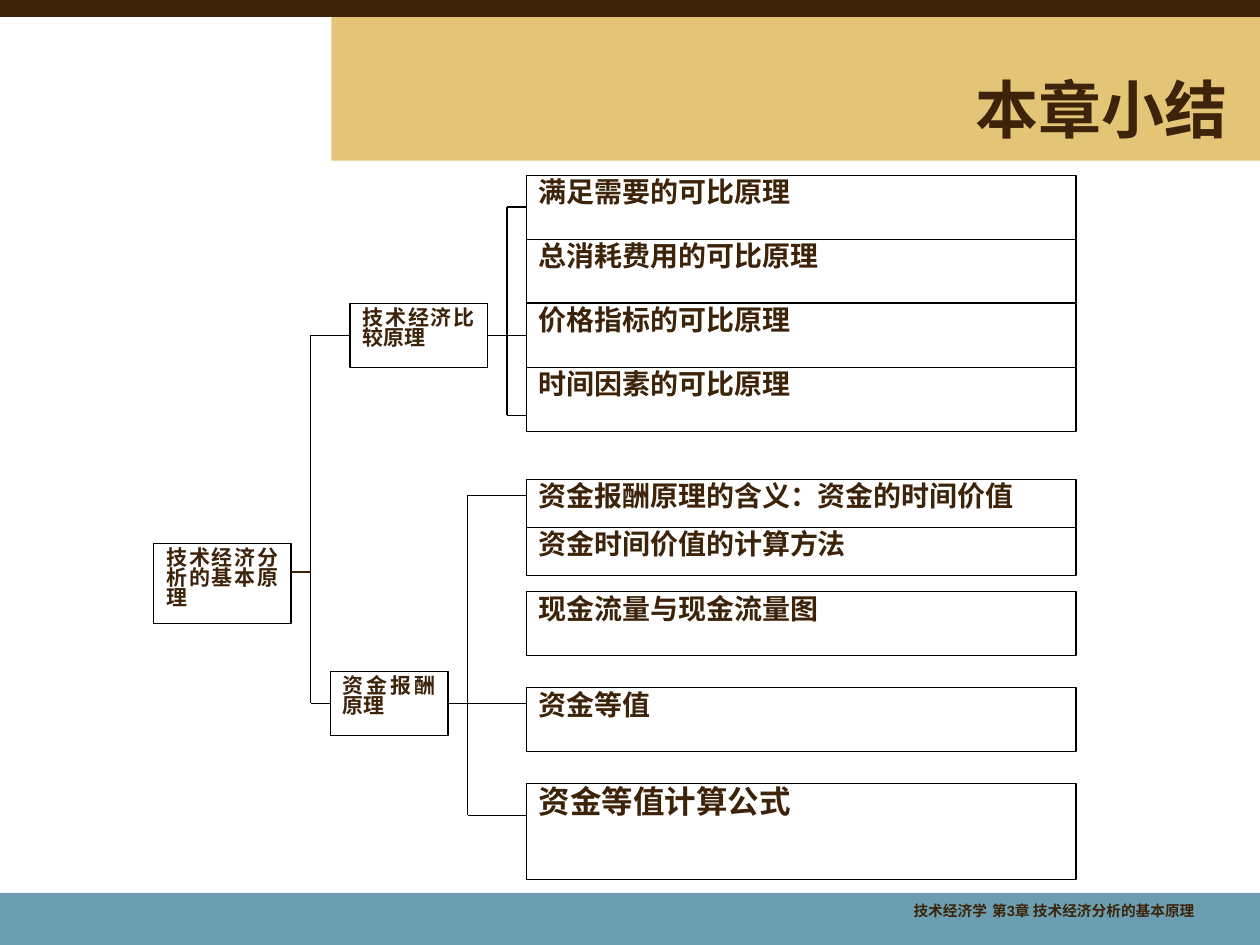
from lxml import etree
from pptx import Presentation
from pptx.dml.color import RGBColor
from pptx.enum.shapes import MSO_CONNECTOR as CONN, MSO_SHAPE as SHAPE
from pptx.enum.text import MSO_ANCHOR as ANCHOR, PP_ALIGN as ALIGN
from pptx.oxml.ns import qn
from pptx.util import Inches, Pt

BROWN = RGBColor(0x3C, 0x23, 0x0A)
SAND = RGBColor(0xE4, 0xC5, 0x78)
BLUE = RGBColor(0x6A, 0x9E, 0xB0)
WHITE = RGBColor(0xFF, 0xFF, 0xFF)
BLACK = RGBColor(0, 0, 0)

prs = Presentation()
prs.slide_width, prs.slide_height = W, H = Inches(10), Inches(7.5)
s = prs.slides.add_slide(prs.slide_layouts[5])

# Diagram grid: 47 columns by 44 rows
LEFT, TOP = Inches(1.22), Inches(1.39)
COL, ROW = Inches(7.32) / 47, Inches(5.59) / 44


def write(sp, *runs, font="Times New Roman", align=ALIGN.JUSTIFY,
          spacing=0.8, anchor=ANCHOR.TOP):
    """Fill a shape with one bold paragraph of (text, size) runs."""
    tf = sp.text_frame
    tf.word_wrap = True
    tf.vertical_anchor = anchor
    p = tf.paragraphs[0]
    p.alignment, p.line_spacing = align, spacing
    for text, size in runs:
        r = p.add_run()
        r.text = text
        r.font.size, r.font.name, r.font.bold = Pt(size), font, True
        r.font.color.rgb = BROWN


def rect(x, y, w, h, fill, line=None):
    sp = s.shapes.add_shape(SHAPE.RECTANGLE, *(round(v) for v in (x, y, w, h)))
    sp.shadow.inherit = False
    sp.fill.solid()
    sp.fill.fore_color.rgb = fill
    if line is None:
        sp.line.fill.background()
    else:
        sp.line.color.rgb, sp.line.width = line, Pt(0.75)
    return sp


# Page bands
rect(0.263 * W, 0.017 * H, 0.737 * W, 0.153 * H, SAND)
rect(0, 0.945 * H, W, 0.059 * H, BLUE)
rect(0, 0, W, 0.017 * H, BROWN, BROWN)

footer = s.shapes.add_textbox(Inches(6.02), Inches(7.09), Inches(3.56), Inches(0.33))
write(footer, ("技术经济学", 8.4), (" ", 12.6), ("第3章 技术经济分析的基本原理", 8.4),
      font="Arial", align=ALIGN.RIGHT)

title = s.shapes.title
title.left, title.top, title.width, title.height = (
    Inches(2.92), Inches(0.55), Inches(6.92), Inches(0.62))
write(title, ("本章小结", 36), font="Arial", align=ALIGN.RIGHT, spacing=1.0,
      anchor=ANCHOR.MIDDLE)
title.element.getparent().append(title.element)  # in front of the bands

# Boxes: column, row, columns wide, rows high, text, size
nodes = [
    (0, 23, 7, 5, "技术经济分析的基本原理", 12),
    (10, 8, 7, 4, "技术经济比较原理", 12),
    (9, 31, 6, 4, "资金报酬原理", 12),
]
leaves = [
    (0, 4, "满足需要的可比原理", 16),
    (4, 4, "总消耗费用的可比原理", 16),
    (8, 4, "价格指标的可比原理", 16),
    (12, 4, "时间因素的可比原理", 16),
    (19, 3, "资金报酬原理的含义：资金的时间价值", 16),
    (22, 3, "资金时间价值的计算方法", 16),
    (26, 4, "现金流量与现金流量图", 16),
    (32, 4, "资金等值", 16),
    (38, 6, "资金等值计算公式", 18),
]
nodes += [(19, row, 28, rows, text, size) for row, rows, text, size in leaves]

side_middles = {}  # (column, row) -> (box, connection site)
for col, row, cols, rows, text, size in nodes:
    box = rect(LEFT + col * COL, TOP + row * ROW, cols * COL, rows * ROW, WHITE, BLACK)
    write(box, (text, size))
    side_middles[col, row + rows / 2] = box, 1
    side_middles[col + cols, row + rows / 2] = box, 3

# Brackets: start column, start row, end column, end row
links = [
    (7, 24.8, 8, 24.8), (8, 10, 8, 33), (8, 10, 10, 10), (8, 33, 9, 33),
    (17, 10, 19, 10), (18, 2, 18, 15), (18, 2, 19, 2), (18, 15, 19, 15),
    (15, 33, 19, 33), (16, 20, 16, 40), (16, 20, 19, 20), (16, 40, 19, 40),
]
for x1, y1, x2, y2 in links:
    ends = (LEFT + x1 * COL, TOP + y1 * ROW, LEFT + x2 * COL, TOP + y2 * ROW)
    link = s.shapes.add_connector(CONN.STRAIGHT, *(round(v) for v in ends))
    link.line.color.rgb = BROWN if y1 == 24.8 else BLACK
    link.line.width = Pt(0.75)
    etree.SubElement(link.element.spPr, qn("a:effectLst"))
    if (x1, y1) in side_middles:
        link.begin_connect(*side_middles[x1, y1])
    if (x2, y2) in side_middles:
        link.end_connect(*side_middles[x2, y2])

prs.save("out.pptx")
